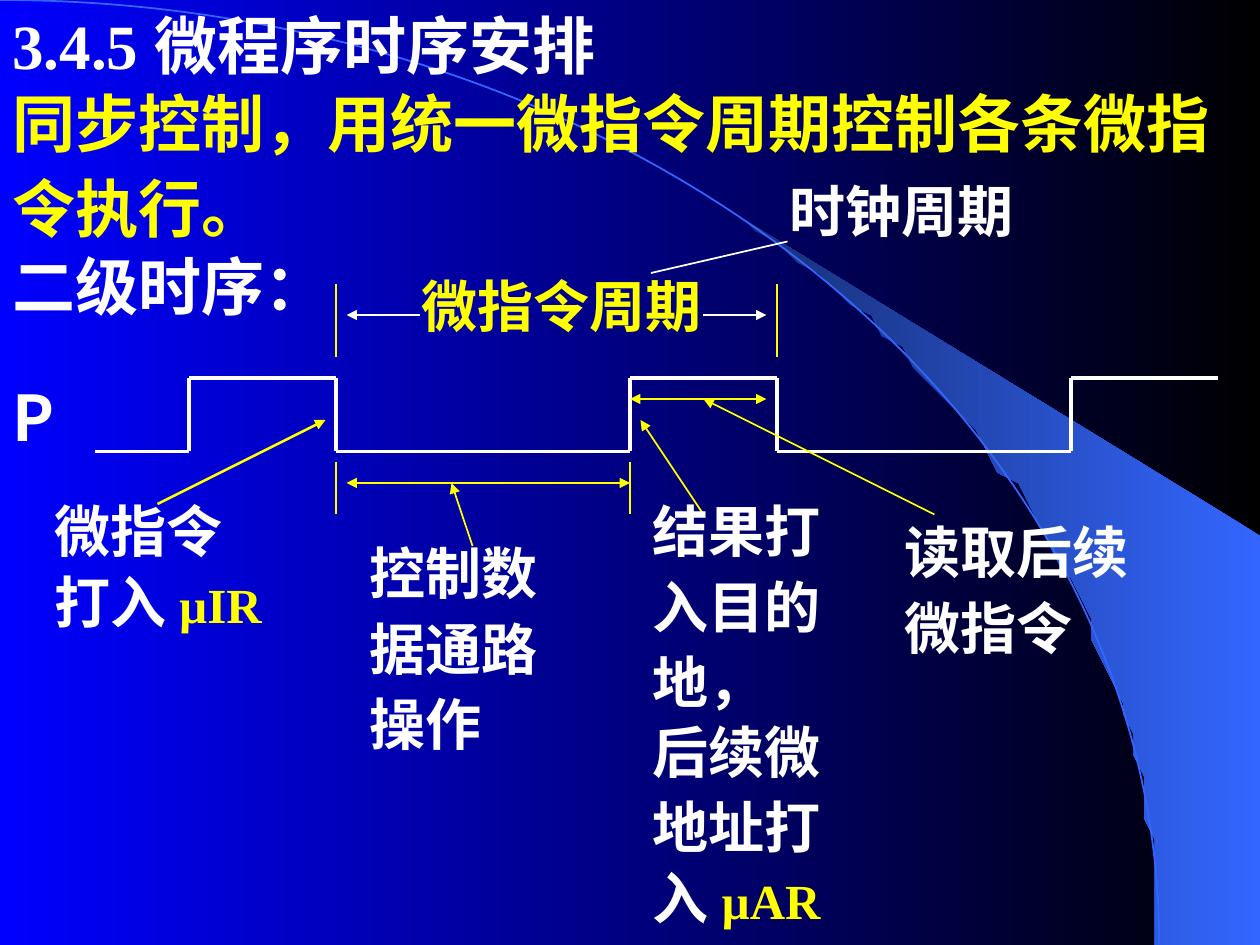
from dataclasses import dataclass
from itertools import pairwise
from math import asin, cos, pi, sin

from lxml.etree import SubElement
from pptx import Presentation
from pptx.dml.color import RGBColor
from pptx.enum.shapes import MSO_CONNECTOR as Link, MSO_SHAPE as Shape
from pptx.enum.text import MSO_AUTO_SIZE as AutoSize
from pptx.oxml.ns import qn
from pptx.util import Inches, Pt

COLUMNS, ROWS = 120, 90


@dataclass(frozen=True)
class Theme:
    """Colours, fonts and sizes of the slide."""

    white: str = "FFFFFF"
    yellow: str = "FFFF00"
    black: str = "000000"
    blue: str = "0000FF"
    sky: str = "3366FF"
    navy: str = "172F75"
    sans: str = "Noto Sans CJK SC"
    serif: str = "Times New Roman"
    large: int = 36
    medium: int = 32
    small: int = 28
    thin: float = 1
    middle: float = 1.5
    thick: float = 2.25


class TimingSlide:
    """Draws elements on one slide, measured in grid columns and rows."""

    def __init__(self, deck, theme):
        self.theme = theme
        self.page = deck.slides.add_slide(deck.slide_layouts[6])
        self.unit = deck.slide_width / COLUMNS

    def grid(self, *values):
        """Turn grid counts into lengths."""
        return [round(value * self.unit) for value in values]

    def shade(self, fill, start, end):
        """Fill with a gradient running from right to left."""
        fill.gradient()
        fill.gradient_angle = 180
        for stop, colour, place in zip(fill.gradient_stops, (start, end), (0, 1)):
            stop.color.rgb = RGBColor.from_string(colour)
            stop.position = place

    def backdrop(self):
        """Draw the background, the beam and the arc it touches."""
        theme = self.theme
        self.shade(self.page.background.fill, theme.black, theme.blue)
        radius_x, radius_y, right = 110.4, 89.85, 119.9
        first, steps = asin(0.64), 40
        angles = [first + (pi / 2 - first) * step / steps for step in range(steps + 1)]
        curve = [(radius_x * sin(a), radius_y * (1 - cos(a))) for a in angles]
        builder = self.page.shapes.build_freeform(*curve[0], scale=self.unit)
        builder.add_line_segments(curve[1:] + [(right, radius_y), (right, 50.8)])
        beam = builder.convert_to_shape()
        beam.shadow.inherit = False
        beam.line.fill.background()
        self.shade(beam.fill, theme.sky, theme.navy)
        arc = self.page.shapes.add_shape(
            Shape.ARC, *self.grid(-radius_x, 0, 2 * radius_x, 2 * radius_y))
        arc.shadow.inherit = False
        arc.fill.background()
        arc.line.color.rgb = RGBColor.from_string(theme.sky)
        arc.line.width = Pt(theme.thin)

    def line(self, ends, colour, width=None, arrows=()):
        """Draw a straight line, with arrowheads at the named ends."""
        link = self.page.shapes.add_connector(Link.STRAIGHT, *self.grid(*ends))
        link.line.color.rgb = RGBColor.from_string(colour)
        link.line.width = Pt(width or self.theme.thin)
        outline = link.line._get_or_add_ln()
        for end in arrows:
            SubElement(outline, qn(f"a:{end}"), type="triangle")
        SubElement(link._element.spPr, qn("a:effectLst"))

    def wave(self, points):
        """Draw the clock signal through its corner points."""
        for start, end in pairwise(points):
            self.line((*start, *end), self.theme.white, self.theme.thick)

    def text(self, place, lines, size, colour, font, spacing=0.6, register=None):
        """Write bold lines, with an optional register name after the last."""
        box = self.page.shapes.add_textbox(*self.grid(*place))
        frame = box.text_frame
        frame.text = "\n".join(lines)
        frame.word_wrap = True
        frame.auto_size = AutoSize.SHAPE_TO_FIT_TEXT
        for number, para in enumerate(frame.paragraphs):
            para.line_spacing = spacing
            final = size
            for span in para.runs:
                self.style(span, size, colour, font)
            if register and number == len(lines) - 1:
                final = self.theme.small
                span = para.add_run()
                span.text = register
                self.style(span, final, self.theme.yellow, font)
            para.space_before = Pt(final * 0.625 if number else 0)

    def style(self, span, size, colour, font):
        """Format one run."""
        span.font.size = Pt(size)
        span.font.bold = True
        span.font.color.rgb = RGBColor.from_string(colour)
        span.font.name = font
        SubElement(span.font._element, qn("a:ea"), typeface=self.theme.sans)


def main():
    """Build the micro-instruction timing slide."""
    theme = Theme()
    white, yellow, sans, serif = theme.white, theme.yellow, theme.sans, theme.serif
    deck = Presentation()
    deck.slide_width, deck.slide_height = Inches(10), Inches(7.5)
    slide = TimingSlide(deck, theme)
    slide.backdrop()

    slide.text((0, 10, 131, 13.7), ["同步控制，用统一微指令周期控制各条微指", "令执行。"],
               theme.large, yellow, sans)
    slide.text((0, 38, 14, 5.5), ["P"], theme.large, white, sans)
    slide.text((0, 0, 77, 8.4), ["3.4.5 微程序时序安排"], theme.large, white, serif, 1)
    slide.text((0, 25, 46, 6.2), ["二级时序："], theme.large, white, sans, 0.7)
    slide.text((39, 27, 59, 5.8), ["微指令周期"], theme.medium, yellow, sans, 0.7)
    slide.text((74, 18, 34, 5.8), ["时钟周期"], theme.medium, white, sans, 0.7)

    low, high = 43, 36
    rises, falls = (18, 60, 102), (32, 74, 116)
    corners = [(9, low)]
    for rise, fall in zip(rises, falls):
        corners += [(rise, low), (rise, high), (fall, high), (fall, low)]
    slide.wave(corners[:-1])

    for column in falls[:2]:
        slide.line((column, 27, column, 34), yellow)
    for column in (falls[0], rises[1]):
        slide.line((column, 44, column, 49), yellow)
    slide.line((33, 30, 40, 30), white, arrows=["headEnd"])
    slide.line((67, 30, 73, 30), white, arrows=["tailEnd"])
    slide.line((62, 26, 75, 23), white)
    slide.line((15, 48, 31, 40), yellow, theme.middle, ["tailEnd"])
    for span in ((33, 46, 60, 46), (60, 38, 73, 38)):
        slide.line(span, yellow, arrows=["headEnd", "tailEnd"])
    for pointer in ((45, 52, 43, 46), (67, 49, 61, 40), (89, 49, 67, 38)):
        slide.line(pointer, yellow, arrows=["tailEnd"])

    notes = [
        (4, 49, 11.9, ["微指令", "打入 "], "µIR"),
        (34, 53, 19.4, ["控制数", "据通路", "操作"], None),
        (61, 49, 19.4, ["结果打", "入目的", "地，"], None),
        (85, 51, 12.2, ["读取后续", "微指令"], None),
        (61, 70, 19, ["后续微", "地址打", "入 "], "µAR"),
    ]
    for column, row, height, lines, register in notes:
        slide.text((column, row, 31, height), lines, theme.medium, white, serif,
                   register=register)
    deck.save("out.pptx")


if __name__ == "__main__":
    main()
